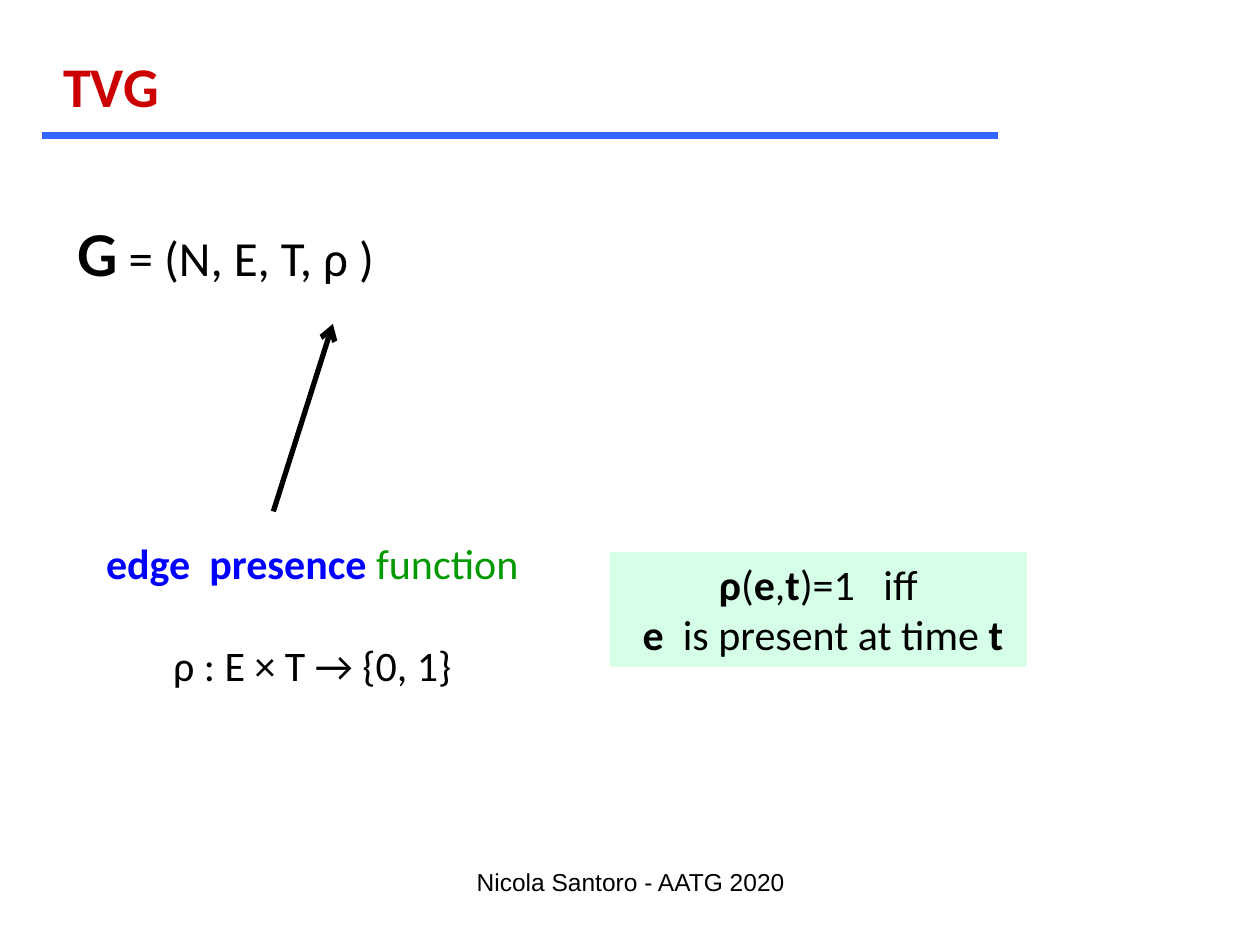
import pptx
import pptx.dml.color
import pptx.enum.shapes
import pptx.enum.text
import pptx.oxml
import pptx.util
from pptx.util import Cm

LEFT = pptx.enum.text.PP_ALIGN.LEFT
CENTER = pptx.enum.text.PP_ALIGN.CENTER
BLACK = "000000"


def rgb(hex_value):
    return pptx.dml.color.RGBColor.from_string(hex_value)


def write(shape, paragraphs, size, align=LEFT, font="Calibri", gap=0, wrap=True):
    frame = shape.text_frame
    frame.word_wrap = wrap
    frame.auto_size = pptx.enum.text.MSO_AUTO_SIZE.NONE
    frame.vertical_anchor = pptx.enum.text.MSO_ANCHOR.TOP
    for index, runs in enumerate(paragraphs):
        paragraph = frame.add_paragraph() if index else frame.paragraphs[0]
        paragraph.alignment = align
        if index and gap:
            paragraph.space_before = pptx.util.Pt(gap)
        for words, bold, color, *special in runs:
            run = paragraph.add_run()
            run.text = words
            run.font.name, points = special or (font, size)
            run.font.size = pptx.util.Pt(points)
            run.font.bold = bold
            run.font.color.rgb = rgb(color)


def add_text(slide, box, paragraphs, size, **style):
    write(slide.shapes.add_textbox(*map(Cm, box)), paragraphs, size, **style)


def add_title(slide, box, words):
    title = slide.shapes.title
    title.left, title.top, title.width, title.height = map(Cm, box)
    write(title, [[(words, True, "CC0000")]], 32, wrap=False)


def add_panel(slide, box, fill, paragraphs, size):
    panel = slide.shapes.add_shape(
        pptx.enum.shapes.MSO_SHAPE.RECTANGLE, *map(Cm, box))
    panel.shadow.inherit = False
    panel.fill.solid()
    panel.fill.fore_color.rgb = rgb(fill)
    panel.line.fill.background()
    write(panel, paragraphs, size, align=CENTER)


def add_line(slide, ends, color, width, arrow=False):
    line = slide.shapes.add_connector(
        pptx.enum.shapes.MSO_CONNECTOR.STRAIGHT, *map(Cm, ends))
    line.line.color.rgb = rgb(color)
    line.line.width = pptx.util.Pt(width)
    if arrow:
        head = pptx.oxml.xmlchemy.OxmlElement("a:tailEnd")
        head.set("type", "arrow")
        line.line._get_or_add_ln().append(head)
    line._element.spPr.append(pptx.oxml.xmlchemy.OxmlElement("a:effectLst"))


def main():
    deck = pptx.Presentation()
    deck.slide_width, deck.slide_height = Cm(25.4), Cm(19.05)
    slide = deck.slides.add_slide(deck.slide_layouts[5])

    add_title(slide, (1.02, 0.91, 2.49, 1.63), "TVG")
    add_line(slide, (0.84, 2.74, 20.12, 2.74), "3366FF", 4)

    graph_definition = [[("G", True, BLACK, "Lato", 32),
                         (" = (N, E, T, ρ )", False, BLACK)]]
    add_text(slide, (1.3, 4.32, 21.74, 1.63), graph_definition, 28)
    add_line(slide, (5.51, 10.31, 6.71, 6.53), BLACK, 3, arrow=True)

    presence_function = [
        [("edge  presence ", True, "0000FF"), ("function", False, "009900")],
        [("ρ : E × T → {0, 1}", False, BLACK)],
    ]
    add_text(slide, (1.7, 10.72, 9.19, 3.33), presence_function, 24,
             align=CENTER, gap=29)

    presence_rule = [
        [("ρ", True, BLACK), ("(", False, BLACK), ("e", True, BLACK),
         (",", False, BLACK), ("t", True, BLACK), (")=1   iff", False, BLACK)],
        [(" e ", True, BLACK), (" is present at time ", False, BLACK),
         ("t", True, BLACK)],
    ]
    add_panel(slide, (12.29, 11.13, 8.41, 2.31), "D6FFE7", presence_rule, 24)

    add_text(slide, (8.69, 17.35, 8.05, 1.27),
             [[("Nicola Santoro - AATG 2020", False, BLACK)]], 14,
             align=CENTER, font="Arial")
    deck.save("out.pptx")


if __name__ == "__main__":
    main()
